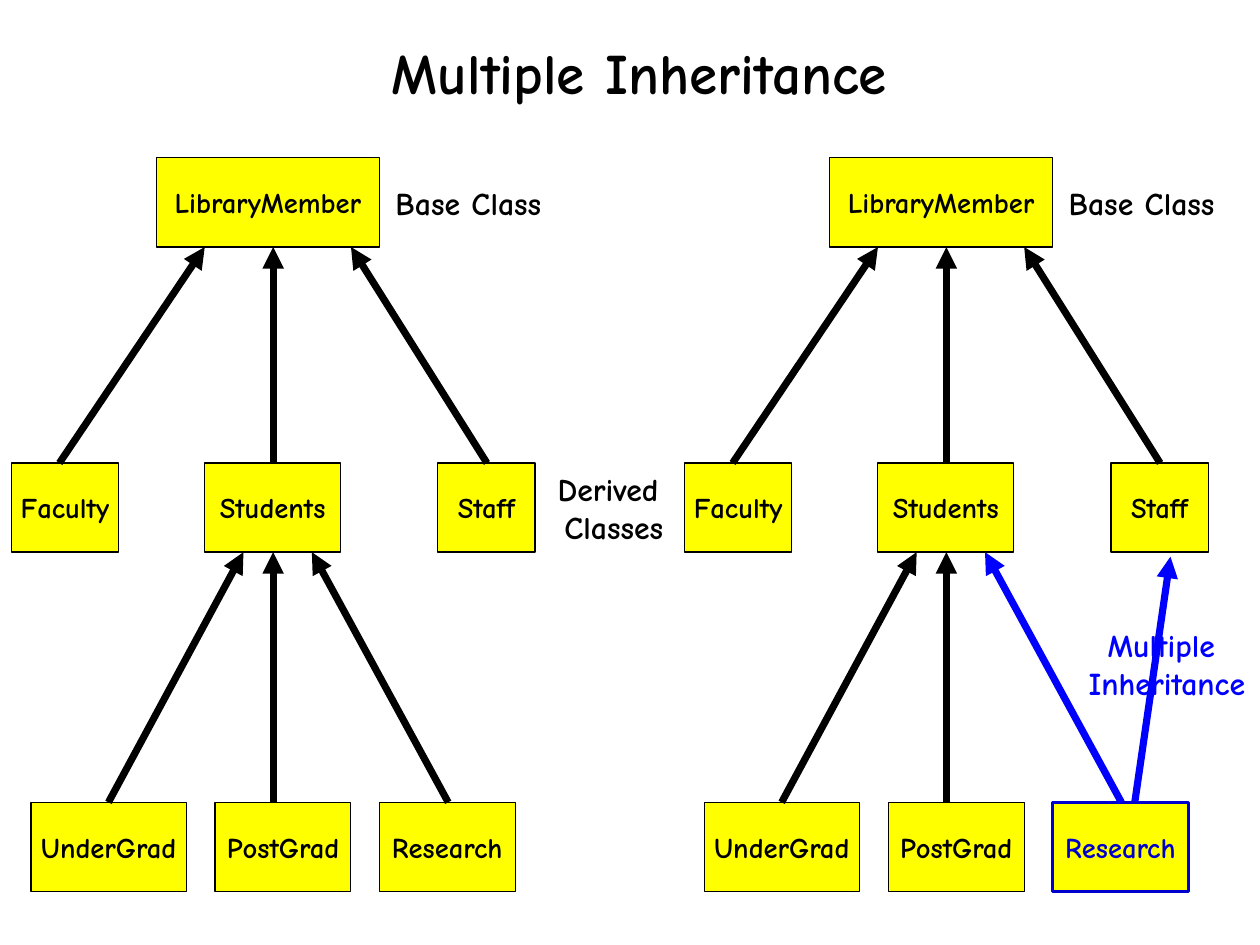
from pptx import Presentation
from pptx.dml.color import RGBColor
from pptx.enum import shapes, text
from pptx.oxml.ns import qn
from pptx.util import Cm, Pt
from lxml import etree

FONT = "Comic Neue"
BLACK, YELLOW, BLUE, NAVY = "000000", "FFFF00", "0000FF", "0000CC"
ROW_TOP = [3.51, 10.29, 17.83]
BOX_H = 1.98
TREE_LEFT = [0, 14.96]

# name: left, row, width
CLASSES = {
    "LibraryMember": (3.48, 0, 4.95),
    "Faculty": (0.25, 1, 2.39),
    "Students": (4.55, 1, 3.02),
    "Staff": (9.73, 1, 2.16),
    "UnderGrad": (0.69, 2, 3.45),
    "PostGrad": (4.78, 2, 3.02),
    "Research": (8.43, 2, 3.02),
}
# child, x at the child, x at the parent
LINKS = [
    ("Faculty", 1.32, 4.55),
    ("Students", 6.07, 6.07),
    ("Staff", 10.82, 7.8),
    ("UnderGrad", 2.41, 5.41),
    ("PostGrad", 6.07, 6.07),
    ("Research", 9.96, 6.93),
]

prs = Presentation()
prs.slide_width, prs.slide_height = Cm(28), Cm(21)
s = prs.slides.add_slide(prs.slide_layouts[5])


def write(sp, lines, size=18, color=BLACK, wrap=False):
    """Fill a shape with centred bold lines."""
    tf = sp.text_frame
    tf.margin_left = tf.margin_right = tf.margin_top = tf.margin_bottom = 0
    tf.word_wrap = wrap
    tf.auto_size = text.MSO_AUTO_SIZE.NONE
    tf.vertical_anchor = text.MSO_ANCHOR.MIDDLE
    tf.text = lines
    for p in tf.paragraphs:
        p.alignment = text.PP_ALIGN.CENTER
        for r in p.runs:
            r.font.name, r.font.size, r.font.bold = FONT, Pt(size), True
            r.font.color.rgb = RGBColor.from_string(color)


def arrow(x1, y1, x2, y2, color):
    c = s.shapes.add_connector(shapes.MSO_CONNECTOR.STRAIGHT,
                               Cm(x1), Cm(y1), Cm(x2), Cm(y2))
    c.line.color.rgb = RGBColor.from_string(color)
    c.line.width = Pt(4.5)
    etree.SubElement(c.line._get_or_add_ln(), qn("a:tailEnd"), type="triangle")
    etree.SubElement(c._element.spPr, qn("a:effectLst"))


title = s.shapes.title
title.left, title.top, title.width, title.height = Cm(1.37), Cm(0.36), Cm(25.68), Cm(3.78)
write(title, "Multiple Inheritance", size=36, wrap=True)
title.text_frame.margin_bottom = Cm(1.3)

for tree, left in enumerate(TREE_LEFT):
    for name, (x, row, width) in CLASSES.items():
        multiple = tree == 1 and name == "Research"
        sp = s.shapes.add_shape(shapes.MSO_SHAPE.RECTANGLE, Cm(left + x),
                                Cm(ROW_TOP[row]), Cm(width), Cm(BOX_H))
        sp.shadow.inherit = False
        sp.fill.solid()
        sp.fill.fore_color.rgb = RGBColor.from_string(YELLOW)
        sp.line.color.rgb = RGBColor.from_string(NAVY if multiple else BLACK)
        sp.line.width = Pt(2.25 if multiple else 0.75)
        write(sp, name, color=NAVY if multiple else BLACK)

    for child, x_child, x_parent in LINKS:
        row = CLASSES[child][1]
        arrow(left + x_child, ROW_TOP[row], left + x_parent, ROW_TOP[row - 1] + BOX_H,
              BLUE if tree == 1 and child == "Research" else BLACK)

LABELS = [
    (" Base Class", 9.09, ROW_TOP[0], BLACK),
    (" Base Class", TREE_LEFT[1] + 9.09, ROW_TOP[0], BLACK),
    ("Derived\n Classes", 12.32, ROW_TOP[1], BLACK),
    ("Multiple \nInheritance", 24.74, 13.77, BLUE),
]
for label, x, y, color in LABELS:
    tb = s.shapes.add_textbox(Cm(x), Cm(y), Cm(2.39), Cm(BOX_H))
    write(tb, label, size=20, color=color)

# Second parent of Research
arrow(25.22, 17.81, 26.01, 12.37, BLUE)

prs.save("out.pptx")
